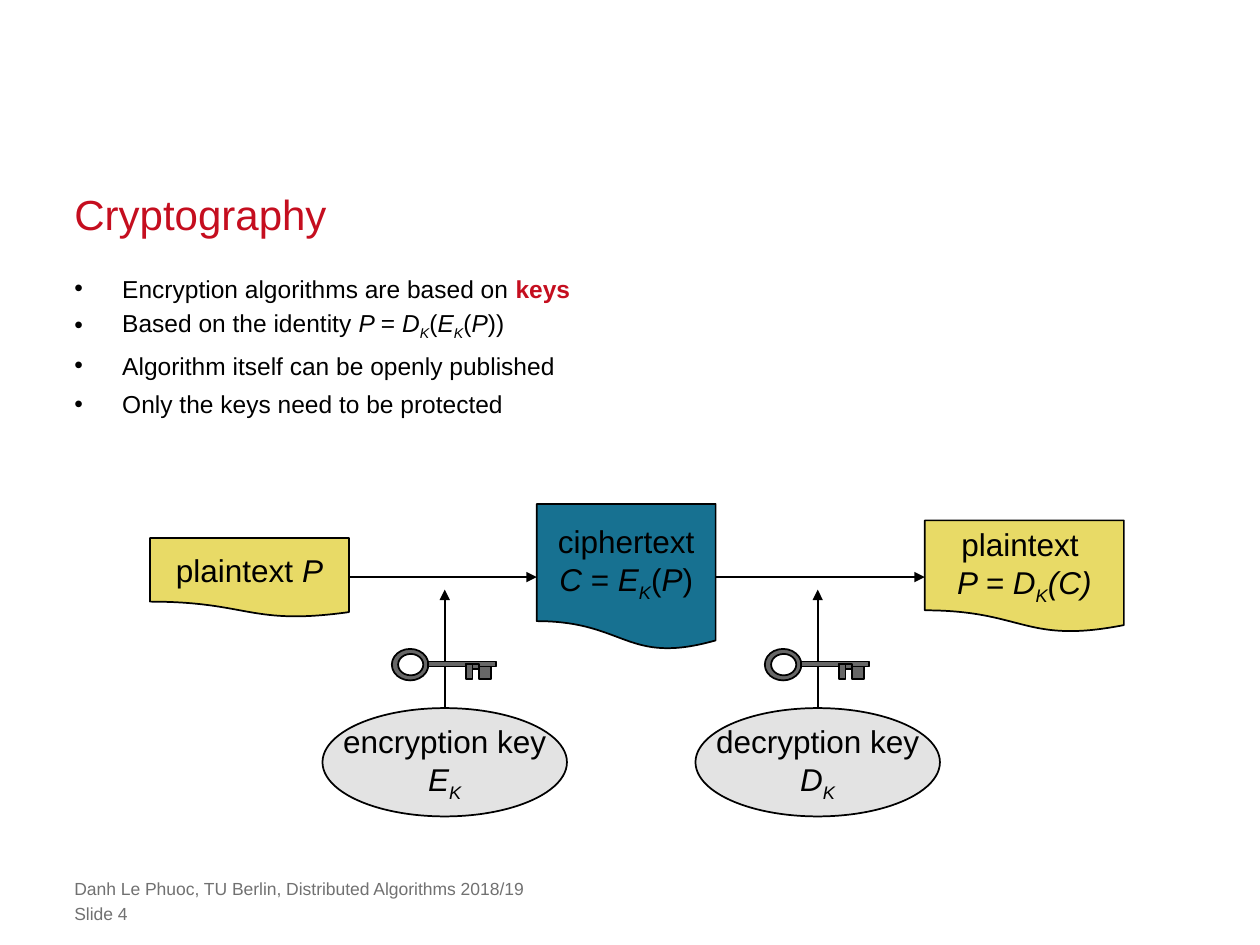
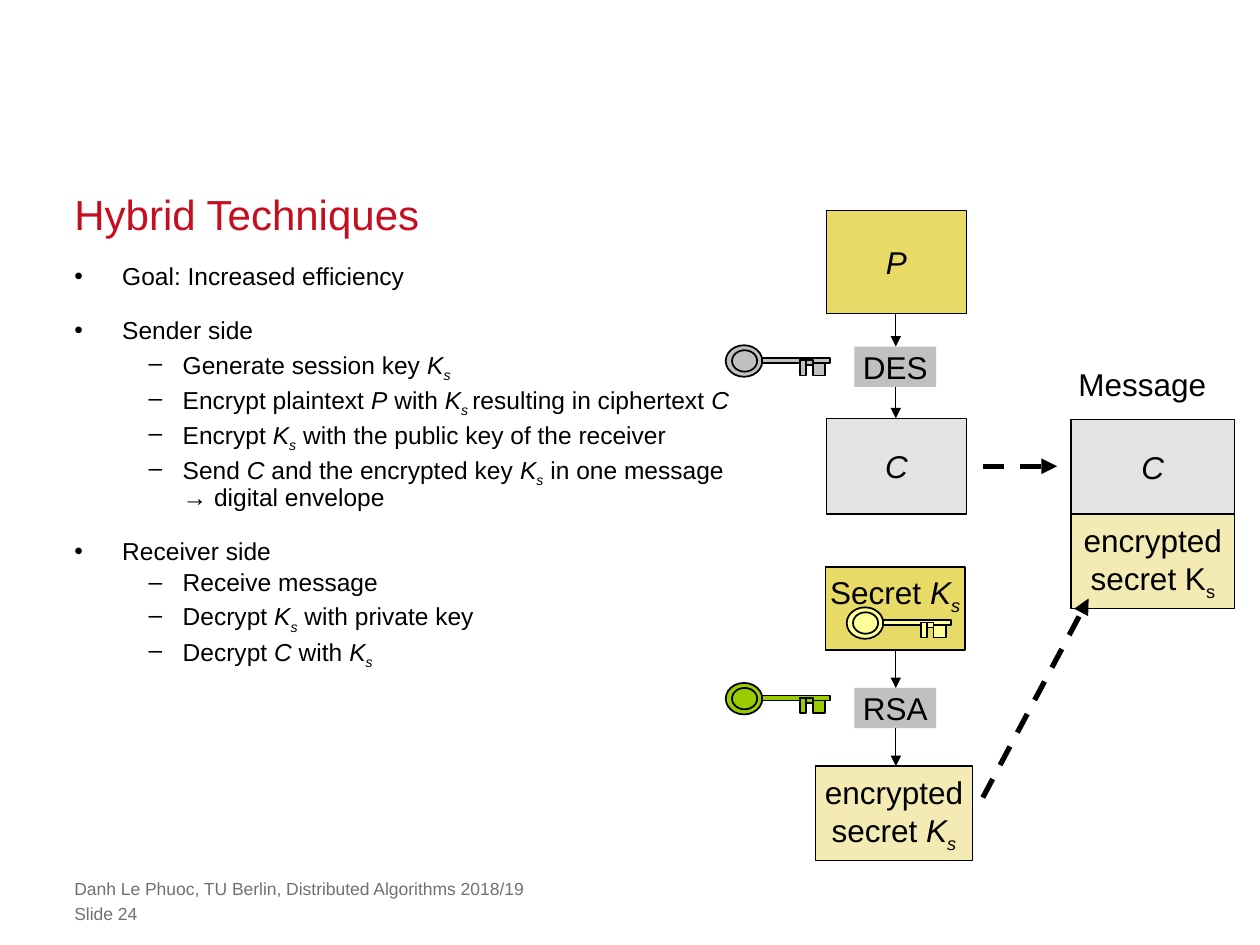
"""Build two slides on cryptography: the key scheme and hybrid techniques."""
from copy import deepcopy
from dataclasses import dataclass
from itertools import groupby

from lxml import etree
from pptx import Presentation
from pptx import util as u
from pptx.dml.color import RGBColor
from pptx.enum import dml, shapes, text
from pptx.oxml.ns import qn

HUES = {
    "black": "000000", "white": "FFFFFF", "red": "C50E1F", "foot": "717171",
    "gold": "E8DA66", "cream": "F3EBB3", "teal": "177191", "pale": "E3E3E3",
    "silver": "C0C0C0", "iron": "676767", "lemon": "FFFF99", "lime": "99CC00",
}
MARKS = {"*": "italic", "_": "sub", "!": "bold"}
KIND = shapes.MSO_SHAPE
RECT, OVAL, DOC = KIND.RECTANGLE, KIND.OVAL, KIND.FLOWCHART_DOCUMENT
MID, TOP, LOW = text.MSO_ANCHOR.MIDDLE, text.MSO_ANCHOR.TOP, text.MSO_ANCHOR.BOTTOM
LEFT, MIDST = text.PP_ALIGN.LEFT, text.PP_ALIGN.CENTER
FLUSH = dict.fromkeys(
    ("margin_left", "margin_top", "margin_right", "margin_bottom"), 0)
FOOT = "Danh Le Phuoc, TU Berlin, Distributed Algorithms 2018/19"


@dataclass
class Box:
    """A filled shape with marked-up text."""
    at: tuple
    txt: str = ""
    hue: str = "gold"
    kind: int = RECT
    line: float = 0.75
    anchor: int = MID


@dataclass
class Arrow:
    """A straight arrow between two points."""
    start: tuple
    end: tuple
    line: float = 0.75
    dash: bool = False


@dataclass
class Item:
    """A list entry with its level and the space above it."""
    txt: str
    level: int = 0
    gap: float = 0


KEY = [
    ((0.69, 0.12, 0.1, 0.12), RECT), ((0, 0, 0.29, 0.25), OVAL),
    ((0.05, 0.04, 0.2, 0.17), OVAL), ((0.29, 0.1, 0.54, 0.04), RECT),
    ((0.59, 0.12, 0.05, 0.04), RECT), ((0.59, 0.12, 0.05, 0.12), RECT),
    ((0.64, 0.12, 0.05, 0.04), RECT),
]


def tint(name: str) -> RGBColor:
    """Look up a colour by name."""
    return RGBColor.from_string(HUES[name])


def span(vals: tuple) -> list:
    """Turn numbers into inch lengths."""
    return [u.Inches(v) for v in vals]


def apply(obj, vals: dict) -> None:
    """Set every attribute listed in vals."""
    for name, val in vals.items():
        setattr(obj, name, val)


def write(para, txt: str, size: float, hue: str = "black") -> None:
    """Write text where * is italic, _ subscript, ! bold red and a newline a break."""
    state = dict.fromkeys(MARKS.values(), False)
    run = None
    for mark, part in groupby(txt, lambda c: c if c in MARKS or c == "\n" else ""):
        if mark in MARKS:
            state[MARKS[mark]] ^= True
        elif mark == "\n":
            para.add_line_break()
            para._p[-1].insert(0, deepcopy(run._r.rPr))
        else:
            run = para.add_run()
            run.text = "".join(part)
            apply(run.font, {"name": "Arial", "size": u.Pt(size),
                             "italic": state["italic"], "bold": state["bold"]})
            run.font.color.rgb = tint("red" if state["bold"] else hue)
            if state["sub"]:
                run._r.rPr.set("baseline", "-25000")


def fill(frame, txt: str, size: float, hue: str = "black", align=LEFT) -> None:
    """Fill a frame with paragraphs parted by bars."""
    for num, part in enumerate(txt.split("|")):
        para = frame.add_paragraph() if num else frame.paragraphs[0]
        para.alignment = align
        write(para, part, size, hue)


def draw_box(host, box: Box):
    """Draw one box in a slide's or group's shape list."""
    shape = host.add_shape(box.kind, *span(box.at))
    shape.shadow.inherit = False
    shape.fill.solid()
    shape.fill.fore_color.rgb = tint(box.hue)
    if box.line:
        shape.line.width = u.Pt(box.line)
        shape.line.color.rgb = tint("black")
    else:
        shape.line.fill.background()
    if box.kind == DOC:
        shape._element.spPr.find(qn("a:xfrm")).set("flipH", "1")
    if box.txt:
        apply(shape.text_frame, {"word_wrap": False, "vertical_anchor": box.anchor})
        fill(shape.text_frame, box.txt, 18, align=MIDST)


def draw_key(slide, left: float, top: float, hue: str, hole: str) -> None:
    """Draw a key as a group of plain shapes."""
    group = slide.shapes.add_group_shape()
    for num, ((x, y, w, h), kind) in enumerate(KEY):
        draw_box(group.shapes, Box((left + x, top + y, w, h), "",
                                   hole if num == 2 else hue, kind, 1))


def draw_arrow(slide, arrow: Arrow) -> None:
    """Draw one arrow with a triangle head."""
    link = slide.shapes.add_connector(
        shapes.MSO_CONNECTOR.STRAIGHT, *span(arrow.start + arrow.end))
    link.line.width = u.Pt(arrow.line)
    link.line.color.rgb = tint("black")
    if arrow.dash:
        link.line.dash_style = dml.MSO_LINE.DASH
    etree.SubElement(link.line._get_or_add_ln(), qn("a:tailEnd"), type="triangle")
    etree.SubElement(link._element.spPr, qn("a:effectLst"))


def place(shape, at: tuple) -> None:
    """Move and size a shape."""
    apply(shape, dict(zip(("left", "top", "width", "height"), span(at))))


def note(slide, at: tuple, txt: str, size: float, hue: str, form: dict) -> None:
    """Add a text box."""
    frame = slide.shapes.add_textbox(*span(at)).text_frame
    apply(frame, form)
    fill(frame, txt, size, hue)


def list_out(frame, items: list, lead) -> None:
    """Write a bulleted list with the given line spacing."""
    for num, item in enumerate(items):
        para = frame.add_paragraph() if num else frame.paragraphs[0]
        apply(para, {"level": item.level, "line_spacing": lead,
                     "space_before": u.Pt(item.gap), "space_after": u.Pt(0),
                     "alignment": LEFT})
        margin, hang, sign = ((0.38, 0.38, "•"), (0.86, 0.27, "–"))[item.level]
        props = para._p.get_or_add_pPr()
        props.set("marL", str(u.Inches(margin)))
        props.set("indent", str(-u.Inches(hang)))
        etree.SubElement(props, qn("a:buChar"), char=sign)
        write(para, item.txt, 14)


def start(deck, title: str, num: int, items: list, lead):
    """Add a slide with title, list and footer."""
    slide = deck.slides.add_slide(deck.slide_layouts[1])
    head, body = slide.placeholders
    for shape, at, anchor in ((head, (0.59, 1.48, 8.82, 0.42), LOW),
                              (body, (0.59, 2.1, 8.82, 4.45), TOP)):
        place(shape, at)
        apply(shape.text_frame, {**FLUSH, "word_wrap": True, "vertical_anchor": anchor,
                                 "auto_size": text.MSO_AUTO_SIZE.NONE})
    fill(head.text_frame, title, 24, "red")
    apply(head.text_frame.paragraphs[0],
          {"line_spacing": u.Pt(30), "space_before": u.Pt(0)})
    list_out(body.text_frame, items, lead)
    for top, txt in ((6.97, FOOT), (7.17, f"Slide {num}")):
        note(slide, (0.59, top, 7.24, 0.17), txt, 10, "foot",
             {**FLUSH, "word_wrap": True})
    return slide


def scheme(deck) -> None:
    """Build the slide on encryption with keys."""
    items = [Item("Encryption algorithms are based on !keys!"),
             Item("Based on the identity *P *= *D_K_*(*E_K_*(*P*))"),
             Item("Algorithm itself can be openly published"),
             Item("Only the keys need to be protected")]
    slide = start(deck, "Cryptography", 4, items, u.Pt(22))
    for box in (
        Box((1.19, 4.27, 1.58, 0.63), "plaintext *P*", "gold", DOC, 1),
        Box((4.26, 4, 1.42, 1.16), "ciphertext|*C *= *E_K_*(*P*)", "teal", DOC, 1),
        Box((7.34, 4.13, 1.58, 0.89), "plaintext \n*P = D_K_(C)*", "gold", DOC, 1),
    ):
        draw_box(slide.shapes, box)
    for left, right in ((2.77, 4.26), (5.68, 7.34)):
        draw_arrow(slide, Arrow((left, 4.58), (right, 4.58), 1))
    for mid, name, sign in ((3.53, "encryption", "E"), (6.49, "decryption", "D")):
        draw_arrow(slide, Arrow((mid, 5.62), (mid, 4.68), 1))
        draw_box(slide.shapes, Box((mid - 0.97, 5.62, 1.94, 0.86),
                                   f"{name} key|*{sign}_K_*", "pale", OVAL, 1))
        draw_key(slide, mid - 0.42, 5.15, "iron", "white")


def hybrid(deck) -> None:
    """Build the slide on hybrid techniques."""
    gap, sub = 15.7, 2.8
    items = [Item("Goal: Increased efficiency"), Item("Sender side", 0, gap)]
    items += [Item(txt, 1, sub) for txt in (
        "Generate session key *K_s_*",
        "Encrypt plaintext *P* with *K_s _*resulting in ciphertext *C*",
        "Encrypt *K_s_* with the public key of the receiver",
        "Send *C* and the encrypted key *K_s_* in one message\n→ digital envelope")]
    items.append(Item("Receiver side", 0, gap))
    items += [Item(txt, 1, sub) for txt in (
        "Receive message", "Decrypt *K_s_* with private key ", "Decrypt *C* with *K_s_*")]
    slide = start(deck, "Hybrid Techniques", 24, items, 0.9)
    for box in (
        Box((6.56, 1.67, 1.11, 0.82), "*P*"),
        Box((6.78, 2.75, 0.65, 0.32), "DES", "silver", line=0),
        Box((6.56, 3.32, 1.11, 0.76), "*C*", "pale"),
        Box((6.55, 4.5, 1.11, 0.66), "Secret *K_s_*", anchor=TOP),
        Box((6.78, 5.46, 0.65, 0.32), "RSA", "silver", line=0),
        Box((6.47, 6.08, 1.25, 0.75), "encrypted\nsecret *K_s_*", "cream"),
        Box((8.5, 3.33, 1.3, 0.75), "*C*", "pale"),
        Box((8.5, 4.08, 1.3, 0.75), "encrypted\nsecret K_s_", "cream"),
    ):
        draw_box(slide.shapes, box)
    for left, top, hue in ((5.76, 2.74, "silver"), (6.72, 4.82, "lemon"),
                           (5.76, 5.42, "lime")):
        draw_key(slide, left, top, hue, hue)
    for top, end in ((2.49, 2.75), (3.07, 3.32), (5.16, 5.46), (5.78, 6.08)):
        draw_arrow(slide, Arrow((7.11, top), (7.11, end)))
    note(slide, (8.46, 2.85, 1.22, 0.4), "Message", 18, "black", {"word_wrap": False})
    for first, last in (((7.8, 6.33), (8.64, 4.75)), ((7.8, 3.7), (8.39, 3.7))):
        draw_arrow(slide, Arrow(first, last, 3, True))


def main() -> None:
    """Build and save the deck."""
    deck = Presentation()
    apply(deck, {"slide_width": u.Inches(10), "slide_height": u.Inches(7.5)})
    scheme(deck)
    hybrid(deck)
    deck.save("out.pptx")


main()
